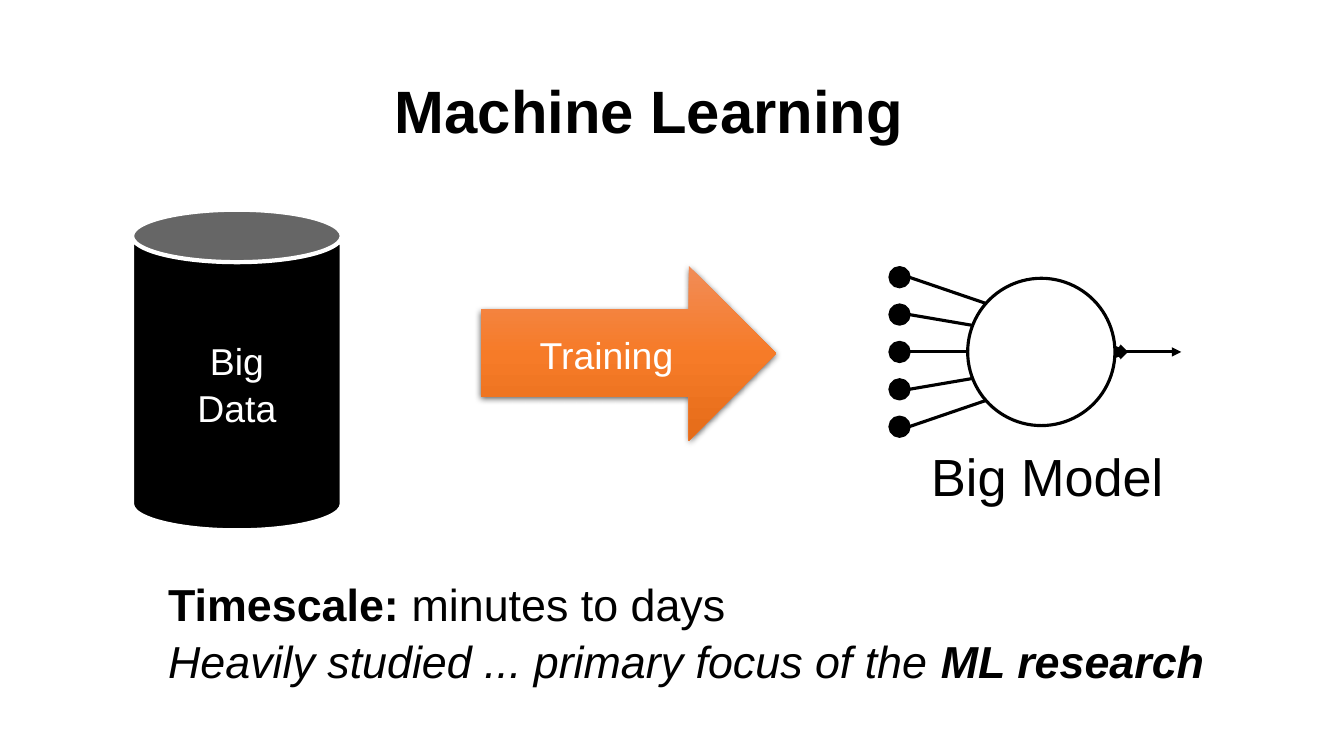
from copy import deepcopy
from lxml import etree
from pptx import Presentation
from pptx.dml.color import RGBColor
from pptx.enum.shapes import MSO_CONNECTOR as Link, MSO_SHAPE as Kind
from pptx.enum.text import MSO_ANCHOR as Anchor, MSO_AUTO_SIZE as Fit, PP_ALIGN as Align
from pptx.oxml.ns import qn
from pptx.util import Pt

BLACK = RGBColor(0, 0, 0)
WHITE = RGBColor(255, 255, 255)
GRADE = [(0, RGBColor(0xF1, 0x8C, 0x57)), (0.5, RGBColor(0xF6, 0x7B, 0x28)),
         (1, RGBColor(0xE5, 0x6C, 0x19))]

deck = Presentation()
deck.slide_width, deck.slide_height = Pt(960), Pt(540)
slide = deck.slides.add_slide(deck.slide_layouts[5])
shapes = slide.shapes


def write(shape, lines, size, color, align=Align.CENTER, **frame):
    text = shape.text_frame
    for name, value in frame.items():
        setattr(text, name, value)
    for i, runs in enumerate(lines):
        para = text.add_paragraph() if i else text.paragraphs[0]
        para.alignment = align
        para.line_spacing = 1.05
        for words, style in runs:
            run = para.add_run()
            run.text = words
            look = dict(name="Arial", size=Pt(size), bold=False) | style
            for name, value in look.items():
                setattr(run.font, name, value)
            run.font.color.rgb = color


def draw(kind, x, y, w, h, fill, line, width):
    shape = shapes.add_shape(kind, Pt(x), Pt(y), Pt(w), Pt(h))
    shape.shadow.inherit = False
    shape.fill.solid()
    shape.fill.fore_color.rgb = fill
    shape.line.color.rgb = line
    shape.line.width = Pt(width)
    return shape


loose = dict(word_wrap=False, auto_size=Fit.SHAPE_TO_FIT_TEXT)

title = shapes.title
title.left, title.top, title.width, title.height = Pt(272.2), Pt(46.8), Pt(383), Pt(59)
write(title, [[("Machine Learning", dict(bold=True))]], 42.7, BLACK,
      vertical_anchor=Anchor.TOP, **loose)

data = draw(Kind.CAN, 94.3, 149.8, 149.8, 229, BLACK, WHITE, 3)
write(data, [[("Big", {})], [("Data", {})]], 26.7, WHITE, vertical_anchor=Anchor.MIDDLE)

train = draw(Kind.RIGHT_ARROW, 343.4, 190.1, 211, 124.6, WHITE, WHITE, 1)
train.line.fill.background()
train.fill.gradient()
train.fill.gradient_angle = 270
stops = train.element.spPr.find(".//" + qn("a:gsLst"))
stops.insert(1, deepcopy(stops[0]))
for stop, (place, color) in zip(train.fill.gradient_stops, GRADE):
    stop.position = place
    stop.color.rgb = color
effect = train.element.spPr.find(qn("a:effectLst"))
shade = etree.SubElement(effect, qn("a:outerShdw"), blurRad=str(Pt(4.5)),
                         dist=str(Pt(1.5)), dir="5400000", rotWithShape="0")
tint = etree.SubElement(shade, qn("a:srgbClr"), val="000000")
etree.SubElement(tint, qn("a:alpha"), val="63000")
write(train, [[("Training", {})]], 26.7, WHITE, vertical_anchor=Anchor.MIDDLE)

mid, step, dot = 251.4, 26.7, 13.7
rows = [mid + step * i for i in range(-2, 3)]
for x, y, end in [(780.5, mid, 843.8)] + [(649.4, y, 805.7) for y in rows]:
    link = shapes.add_connector(Link.STRAIGHT, Pt(x), Pt(y), Pt(end), Pt(mid))
    link.line.color.rgb = BLACK
    link.line.width = Pt(2.25)
    etree.SubElement(link.line._get_or_add_ln(), qn("a:tailEnd"), type="triangle")
    etree.SubElement(link.element.spPr, qn("a:effectLst"))

draw(Kind.OVAL, 691.2, mid - 52.6, 105.2, 105.2, WHITE, BLACK, 2.25)
for y in rows:
    draw(Kind.OVAL, 635.7, y - dot / 2, dot, dot, BLACK, BLACK, 2.25)

model = shapes.add_textbox(Pt(655.2), Pt(311.8), Pt(185.8), Pt(52.6))
write(model, [[("Big Model", {})]], 37.3, BLACK, **loose)

note = shapes.add_textbox(Pt(113), Pt(406.8), Pt(764.6), Pt(85))
write(note, [
    [("Timescale: ", dict(bold=True)), ("minutes to days", {})],
    [("Heavily studied ... primary focus of the ", dict(italic=True)),
     ("ML research", dict(bold=True, italic=True))],
], 32, BLACK, Align.LEFT, **loose)

deck.save("out.pptx")
